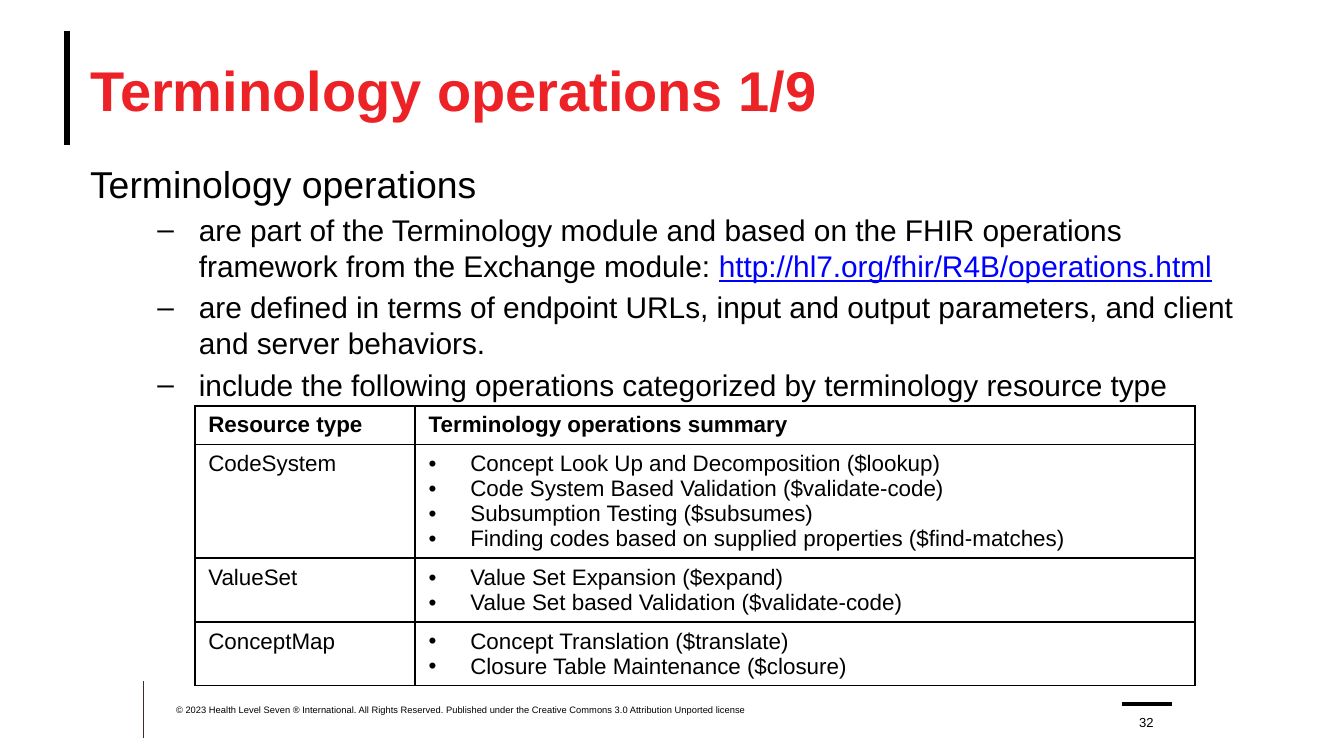
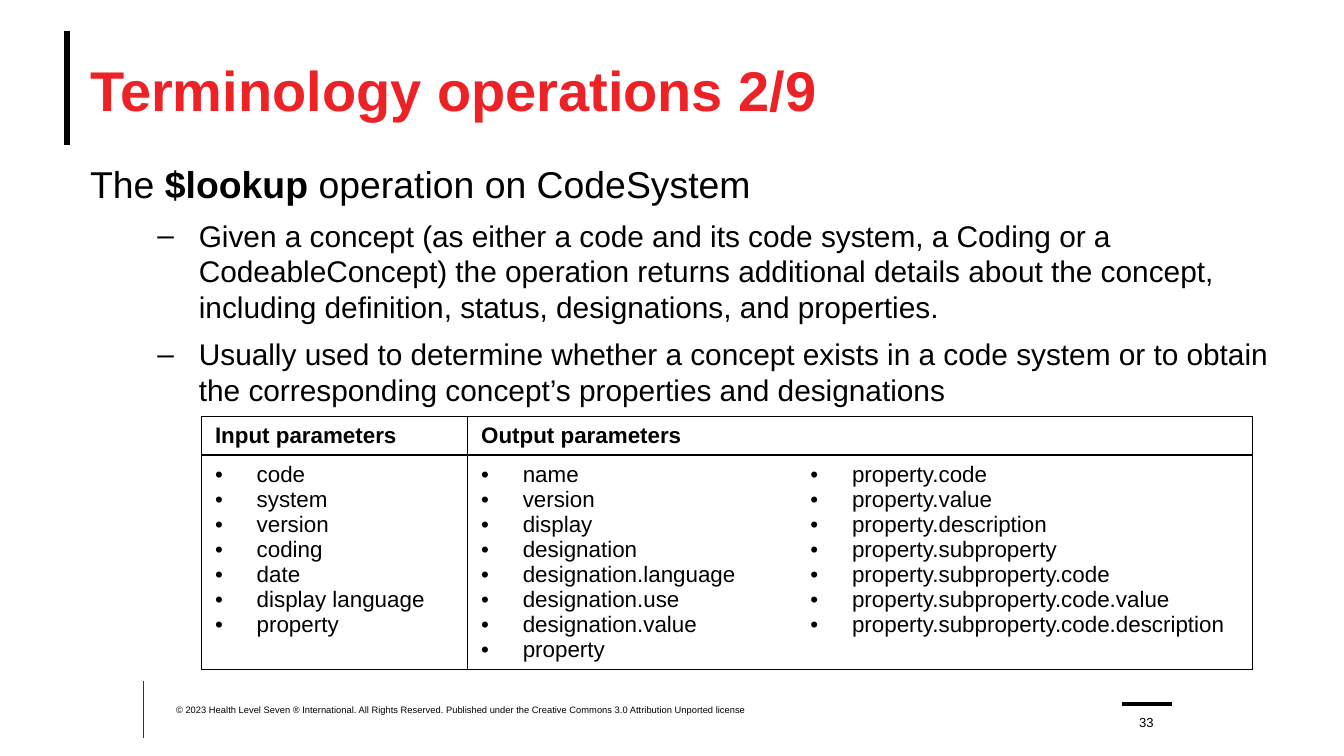
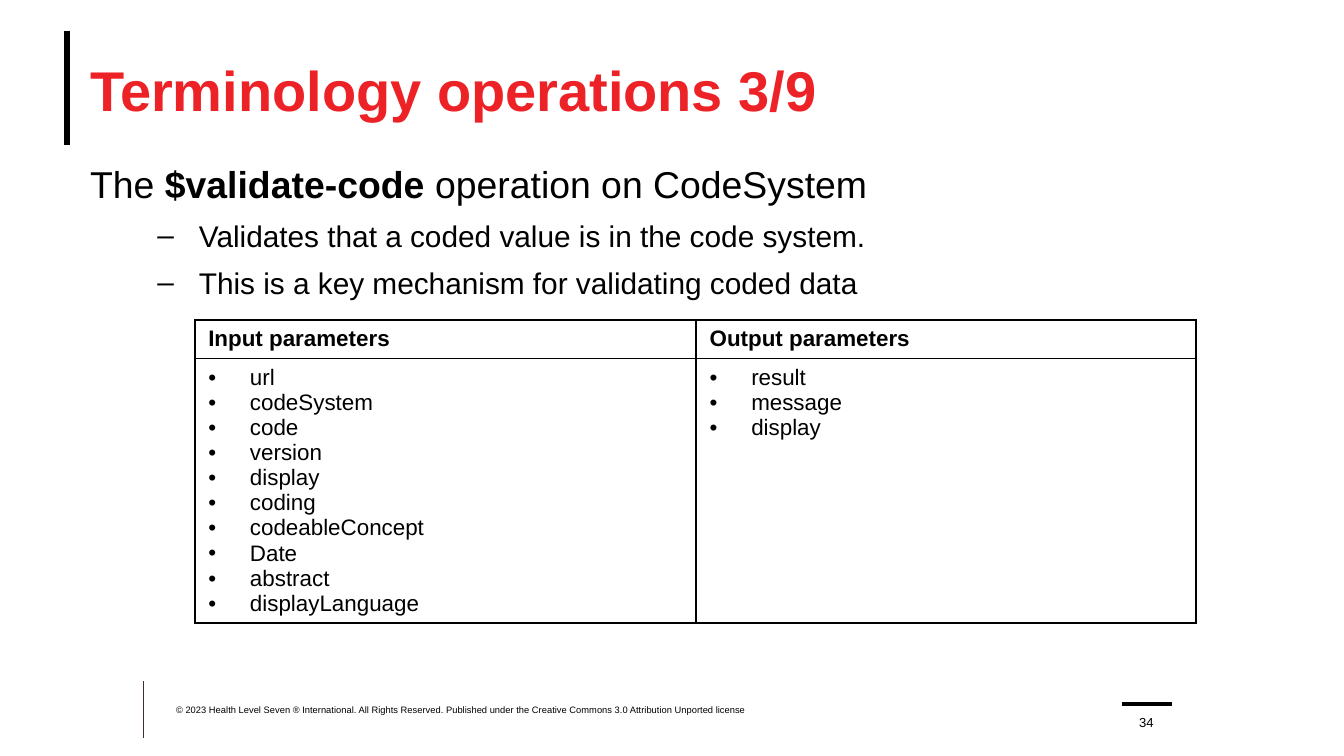
from lxml import etree
from pptx import Presentation
from pptx.dml.color import RGBColor
from pptx.enum.shapes import MSO_CONNECTOR
from pptx.enum.text import MSO_ANCHOR, MSO_AUTO_SIZE, PP_ALIGN
from pptx.oxml.ns import qn
from pptx.util import Inches, Pt

STRAIGHT = MSO_CONNECTOR.STRAIGHT
TOP, MIDDLE, BOTTOM = MSO_ANCHOR.TOP, MSO_ANCHOR.MIDDLE, MSO_ANCHOR.BOTTOM
LEFT, CENTER = PP_ALIGN.LEFT, PP_ALIGN.CENTER
NO_AUTOFIT = MSO_AUTO_SIZE.NONE

FONT = "Arial"
COLORS = {"title": "EC2227", "text": "000000", "link": "0000FF", "footer_rule": "3D3029"}
COPYRIGHT = ("© 2023 Health Level Seven ® International. All Rights Reserved. "
             "Published under the Creative Commons 3.0 Attribution Unported license")
FIRST_PAGE = 32
TITLE_AREA = (0.67, 0.23, 9, 0.86)
HANGING = 0.31
LINE_HEIGHT, CELL_PADDING = 0.18, 0.1

# Start, end, colour and width of the rules on every slide
RULES = [
    ((0.5, 0.23), (0.5, 1.08), "text", 3.25),
    ((1.07, 5.07), (1.07, 5.49), "footer_rule", 0.5),
    ((8.35, 5.24), (8.72, 5.24), "text", 2),
]

# Body text is a list of runs: (text, style)
SLIDES = [
    {
        "heading": [("Terminology operations", None)],
        "points": [
            [("are part of the Terminology module and based on the FHIR operations "
              "framework from the Exchange module: ", None),
             ("http://hl7.org/fhir/R4B/operations.html", "link")],
            [("are defined in terms of endpoint URLs, input and output parameters, "
              "and client and server behaviors.", None)],
            [("include the following operations categorized by terminology resource type", None)],
        ],
        "body_width": 8.65,
        "point_gap": 3,
        "table_at": (1.45, 3.02),
        "columns": [1.64, 5.8],
        "rows": [
            ["Resource type", "Terminology operations summary"],
            ["CodeSystem", ["Concept Look Up and Decomposition ($lookup)",
                            "Code System Based Validation ($validate-code)",
                            "Subsumption Testing ($subsumes)",
                            "Finding codes based on supplied properties ($find-matches)"]],
            ["ValueSet", ["Value Set Expansion ($expand)",
                          "Value Set based Validation ($validate-code)"]],
            ["ConceptMap", ["Concept Translation ($translate)",
                            "Closure Table Maintenance ($closure)"]],
        ],
    },
    {
        "heading": [("The ", None), ("$lookup", "bold"), (" operation on CodeSystem", None)],
        "points": [
            [("Given a concept (as either a code and its code system, a Coding or a "
              "CodeableConcept) the operation returns additional details about the concept, "
              "including definition, status, designations, and properties.", None)],
            [("Usually used to determine whether a concept exists in a code system or to obtain "
              "the corresponding concept’s properties and designations", None)],
        ],
        "body_width": 9,
        "point_gap": 6,
        "table_at": (1.5, 3.1),
        "columns": [1.98, 2.45, 3.39],
        "rows": [
            ["Input parameters", "Output parameters", None],
            [["code", "system", "version", "coding", "date", "display language", "property"],
             ["name", "version", "display", "designation", "designation.language",
              "designation.use", "designation.value", "property"],
             ["property.code", "property.value", "property.description",
              "property.subproperty", "property.subproperty.code",
              "property.subproperty.code.value", "property.subproperty.code.description"]],
        ],
    },
    {
        "heading": [("The ", None), ("$validate-code", "bold"),
                    (" operation on CodeSystem", None)],
        "points": [
            [("Validates that a coded value is in the code system.", None)],
            [("This is a key mechanism for validating coded data", None)],
        ],
        "body_width": 9,
        "point_gap": 6,
        "table_at": (1.45, 2.38),
        "columns": [3.73, 3.72],
        "rows": [
            ["Input parameters", "Output parameters"],
            [["url", "codeSystem", "code", "version", "display", "coding",
              "codeableConcept", "Date", "abstract", "displayLanguage"],
             ["result", "message", "display"]],
        ],
    },
]


def rgb(name):
    return RGBColor.from_string(COLORS[name])


def set_font(paragraph, size, color="text", bold=False):
    font = paragraph.font
    font.name, font.size, font.bold = FONT, Pt(size), bold
    font.color.rgb = rgb(color)


def set_bullet(paragraph, char=None, indent=0):
    """Give the paragraph a hanging bullet, or none when char is empty."""
    props = paragraph._p.get_or_add_pPr()
    props.set("marL", str(Inches(indent)))
    props.set("indent", str(Inches(-HANGING if char else 0)))
    if char:
        etree.SubElement(props, qn("a:buFont"), typeface=FONT)
        etree.SubElement(props, qn("a:buChar"), char=char)
    else:
        etree.SubElement(props, qn("a:buNone"))


def add_runs(paragraph, runs):
    for text, style in runs:
        run = paragraph.add_run()
        run.text = text
        if style == "bold":
            run.font.bold = True
        elif style == "link":
            run.font.underline = True
            run.font.color.rgb = rgb("link")


def prepare_frame(shape, area, anchor):
    """Place a text shape and return its frame, without insets."""
    shape.left, shape.top, shape.width, shape.height = map(Inches, area)
    frame = shape.text_frame
    frame.margin_left = frame.margin_right = frame.margin_top = frame.margin_bottom = 0
    frame.word_wrap = True
    frame.auto_size = NO_AUTOFIT
    frame.vertical_anchor = anchor
    return frame


def add_title(slide, text):
    paragraph = prepare_frame(slide.shapes.title, TITLE_AREA, MIDDLE).paragraphs[0]
    paragraph.text = text
    paragraph.alignment = LEFT
    set_font(paragraph, 30, "title", bold=True)


def add_body(slide, heading, points, width, gap):
    frame = prepare_frame(slide.placeholders[1], (0.67, 1.2, width, 3.89), TOP)
    for index, runs in enumerate([heading, *points]):
        paragraph = frame.add_paragraph() if index else frame.paragraphs[0]
        if index:
            paragraph.level = 1
            set_bullet(paragraph, "–", 0.81)
        else:
            set_bullet(paragraph)
        paragraph.space_before = Pt(gap if index else 0)
        set_font(paragraph, 16 if index else 20)
        add_runs(paragraph, runs)


def add_rule(slide, start, end, color, width):
    rule = slide.shapes.add_connector(STRAIGHT, *map(Inches, start + end))
    rule.line.color.rgb = rgb(color)
    rule.line.width = Pt(width)
    etree.SubElement(rule._element.spPr, qn("a:effectLst"))


def add_label(slide, text, area, size, anchor, alignment):
    box = slide.shapes.add_textbox(*map(Inches, area))
    paragraph = prepare_frame(box, area, anchor).paragraphs[0]
    paragraph.text = text
    paragraph.alignment = alignment
    set_font(paragraph, size)


def set_borders(cell, hidden):
    """Draw the four cell borders, leaving out the hidden sides."""
    props = cell._tc.get_or_add_tcPr()
    for index, side in enumerate(("lnL", "lnR", "lnT", "lnB")):
        border = etree.Element(qn(f"a:{side}"), w=str(Pt(1)))
        if side in hidden:
            etree.SubElement(border, qn("a:noFill"))
        else:
            fill = etree.SubElement(border, qn("a:solidFill"))
            etree.SubElement(fill, qn("a:srgbClr"), val=COLORS["text"])
        props.insert(index, border)


def fill_cell(cell, content, bold):
    """Write plain text, or a bulleted list when content is a list."""
    listed = isinstance(content, list)
    frame = cell.text_frame
    for index, text in enumerate(content if listed else [content]):
        paragraph = frame.add_paragraph() if index else frame.paragraphs[0]
        if listed:
            set_bullet(paragraph, "•", HANGING)
        set_font(paragraph, 12, bold=bold)
        paragraph.add_run().text = text


def row_height(contents):
    lines = max(len(item) if isinstance(item, list) else 1 for item in contents)
    return lines * LINE_HEIGHT + CELL_PADDING


def add_parameter_table(slide, position, columns, rows):
    heights = [row_height(row) for row in rows]
    area = (*position, sum(columns), sum(heights))
    table = slide.shapes.add_table(len(rows), len(columns), *map(Inches, area)).table
    table.first_row = table.horz_banding = False
    for column, width in zip(table.columns, columns):
        column.width = Inches(width)
    for r, contents in enumerate(rows):
        table.rows[r].height = Inches(heights[r])
        for c, content in enumerate(contents):
            cell = table.cell(r, c)
            cell.fill.background()
            # Columns under one merged header have no border between them
            hidden = {side for side, split in (("lnL", c), ("lnR", c + 1))
                      if r and split < len(columns) and rows[0][split] is None}
            set_borders(cell, hidden)
            if content is None:
                table.cell(r, c - 1).merge(cell)
            else:
                fill_cell(cell, content, bold=r == 0)


def main():
    prs = Presentation()
    prs.slide_width = Inches(10)
    prs.slide_height = prs.slide_width * 9 // 16
    for index, content in enumerate(SLIDES):
        slide = prs.slides.add_slide(prs.slide_layouts[1])
        for rule in RULES:
            add_rule(slide, *rule)
        add_title(slide, f"Terminology operations {index + 1}/9")
        add_body(slide, content["heading"], content["points"],
                 content["body_width"], content["point_gap"])
        add_label(slide, COPYRIGHT, (1.31, 5.24, 4.95, 0.17), 5, TOP, LEFT)
        add_label(slide, str(FIRST_PAGE + index), (8.38, 5.26, 0.3, 0.17), 7, BOTTOM, CENTER)
        add_parameter_table(slide, content["table_at"], content["columns"], content["rows"])
    prs.save("out.pptx")


if __name__ == "__main__":
    main()
